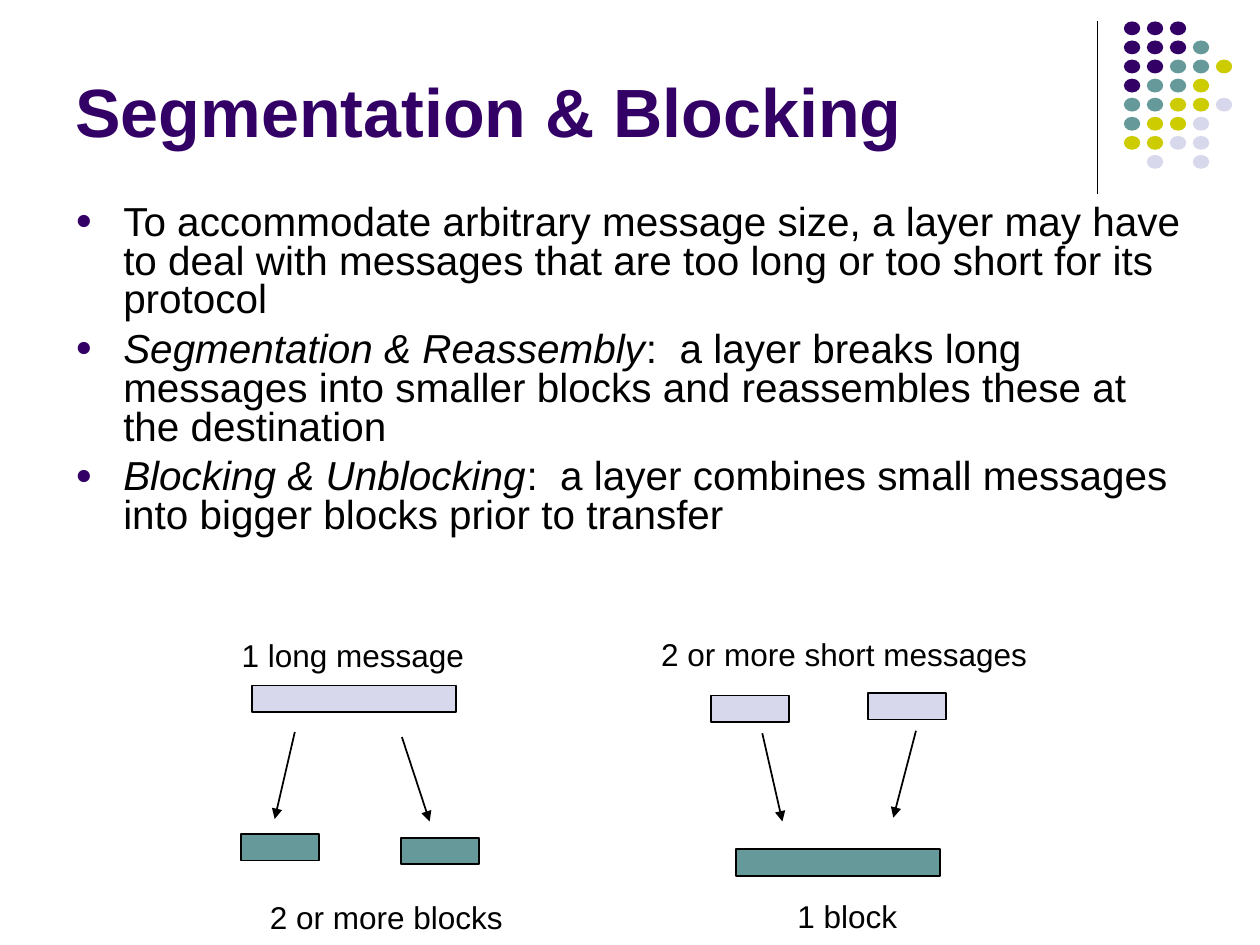
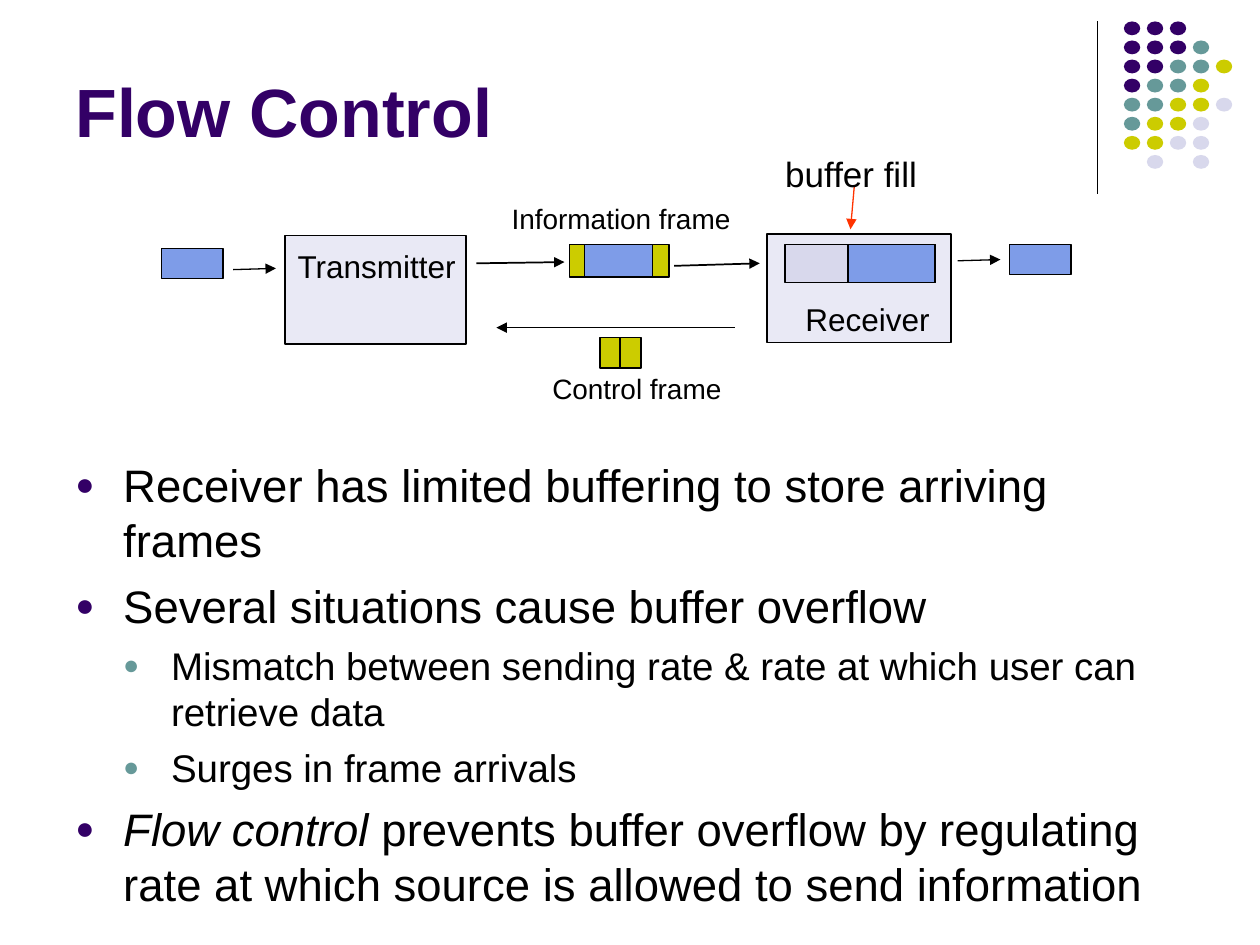
from lxml import etree
from pptx import Presentation
from pptx.dml.color import RGBColor
from pptx.enum.shapes import MSO_CONNECTOR, MSO_SHAPE
from pptx.enum.text import MSO_ANCHOR, MSO_AUTO_SIZE, PP_ALIGN
from pptx.oxml.ns import qn
from pptx.util import Inches, Pt

FONT = "Arial"
COLORS = {
    "purple": "330066",
    "teal": "669999",
    "olive": "CCCC00",
    "lavender": "D8D8EC",
    "pale": "E9E9F5",
    "blue": "7E9CE8",
    "red": "FF3300",
    "black": "000000",
}

# Dot ornament: one letter per dot, a space where there is none
DOT_ROWS = ["PPP", "PPPT", "PPTTY", "PTTY", "TTYYL", "TYYL", "YYLL", " L L"]
DOT_COLORS = {"P": "purple", "T": "teal", "Y": "olive", "L": "lavender"}
DOTS = [
    (MSO_SHAPE.OVAL, 8.92 + 0.73 * col / 4, 0.17 + 1.06 * row / 7, 0.13, 0.11,
     DOT_COLORS[letter], 0)
    for row, letters in enumerate(DOT_ROWS)
    for col, letter in enumerate(letters) if letter != " "
]

BULLET_INDENT = 0.38
BULLET_COLORS = ["purple", "teal"]

# bullets: level, italic lead, rest
# bars: left, top, width, height, fill, line width
# arrows: start, end, colour, line width
# labels: text, left, top, width, height, size
SLIDES = [
    {
        "title": "Segmentation & Blocking",
        "body": (0.5, 1.58, 9.05, 2.77),
        "sizes": [23.1],
        "space_before": [6.2],
        "line_spacing": 0.8,
        "bullets": [
            (0, "", "To accommodate arbitrary message size, a layer may have to deal "
                    "with messages that are too long or too short for its protocol"),
            (0, "Segmentation & Reassembly",
             ":  a layer breaks long messages into smaller blocks and reassembles "
             "these at the destination"),
            (0, "Blocking & Unblocking",
             ":  a layer combines small messages into bigger blocks prior to transfer"),
        ],
        "bars": [
            (2, 5.44, 1.62, 0.21, "lavender", 1),
            (1.91, 6.62, 0.62, 0.21, "teal", 1),
            (3.18, 6.65, 0.62, 0.21, "teal", 1),
            (5.64, 5.52, 0.62, 0.21, "lavender", 1),
            (6.89, 5.5, 0.62, 0.21, "lavender", 1),
            (5.84, 6.74, 1.62, 0.21, "teal", 1),
        ],
        "arrows": [
            ((2.34, 5.81), (2.18, 6.5), "black", 1),
            ((3.19, 5.85), (3.41, 6.52), "black", 1),
            ((6.05, 5.82), (6.21, 6.52), "black", 1),
            ((7.27, 5.8), (7.09, 6.49), "black", 1),
        ],
        "labels": [
            ("1 long message", 1.77, 5, 2.06, 0.4, 18),
            ("2 or more blocks", 1.99, 7.08, 2.15, 0.4, 18),
            ("2 or more short messages", 5.1, 4.99, 3.2, 0.4, 18),
            ("1 block", 6.18, 7.07, 1.09, 0.4, 18),
        ],
    },
    {
        "title": "Flow Control",
        "body": (0.5, 3.58, 9, 3.79),
        "sizes": [26, 22],
        "space_before": [6.5, 5.5],
        "line_spacing": 1.0,
        "bullets": [
            (0, "", "Receiver has limited buffering to store arriving frames"),
            (0, "", "Several situations cause buffer overflow"),
            (1, "", "Mismatch between sending rate & rate at which user can retrieve data"),
            (1, "", "Surges in frame arrivals"),
            (0, "Flow control", " prevents buffer overflow by regulating rate at which "
                                "source is allowed to send information"),
        ],
        "bars": [
            (4.52, 1.94, 0.79, 0.26, "olive", 1),
            (4.64, 1.94, 0.54, 0.26, "blue", 1),
            (2.26, 1.87, 1.44, 0.86, "pale", 1),
            (6.09, 1.86, 1.46, 0.86, "pale", 1),
            (4.76, 2.68, 0.17, 0.24, "olive", 1),
            (4.92, 2.68, 0.17, 0.24, "olive", 1),
            (6.23, 1.94, 1.19, 0.3, "lavender", 0.75),
            (6.73, 1.94, 0.69, 0.3, "blue", 0.75),
            (1.28, 1.97, 0.49, 0.24, "blue", 0.75),
            (8.01, 1.94, 0.49, 0.24, "blue", 0.75),
        ],
        "arrows": [
            ((3.78, 2.09), (4.48, 2.08), "black", 1),
            ((5.35, 2.11), (6.03, 2.09), "black", 1),
            ((5.83, 2.6), (3.94, 2.6), "black", 1),
            ((6.78, 1.48), (6.75, 1.82), "red", 0.75),
            ((1.85, 2.14), (2.19, 2.13), "black", 0.75),
            ((7.6, 2.07), (7.94, 2.06), "black", 0.75),
        ],
        "labels": [
            ("Information frame", 3.76, 1.55, 2.34, 0.36, 16),
            ("Control frame", 4, 2.9, 2.11, 0.36, 16),
            ("Transmitter", 2.21, 1.91, 1.56, 0.4, 18),
            ("Receiver", 6.24, 2.33, 1.29, 0.4, 18),
            ("buffer fill", 6.08, 1.16, 1.35, 0.44, 20),
        ],
    },
]


def rgb(name):
    return RGBColor.from_string(COLORS[name])


def add_line(page, start, end, color, width, arrow=True):
    line = page.shapes.add_connector(
        MSO_CONNECTOR.STRAIGHT, *(Inches(value) for value in start + end))
    line.line.color.rgb = rgb(color)
    line.line.width = Pt(width)
    if arrow:
        etree.SubElement(line.line._get_or_add_ln(), qn("a:tailEnd"), type="triangle")
    etree.SubElement(line._element.spPr, qn("a:effectLst"))


deck = Presentation()
deck.slide_width, deck.slide_height = Inches(10), Inches(7.5)

for content in SLIDES:
    page = deck.slides.add_slide(deck.slide_layouts[6])
    add_line(page, (8.71, 0.17), (8.71, 1.54), "black", 0.75, arrow=False)

    bars = [(MSO_SHAPE.RECTANGLE, *bar) for bar in content["bars"]]
    for kind, left, top, width, height, fill, line_width in DOTS + bars:
        shape = page.shapes.add_shape(
            kind, Inches(left), Inches(top), Inches(width), Inches(height))
        shape.shadow.inherit = False
        shape.fill.solid()
        shape.fill.fore_color.rgb = rgb(fill)
        if line_width:
            shape.line.color.rgb = rgb("black")
            shape.line.width = Pt(line_width)
        else:
            shape.line.fill.background()

    for arrow in content["arrows"]:
        add_line(page, *arrow)

    for text, left, top, width, height, size in content["labels"]:
        box = page.shapes.add_textbox(
            Inches(left), Inches(top), Inches(width), Inches(height))
        box.text_frame.word_wrap = False
        box.text_frame.auto_size = MSO_AUTO_SIZE.SHAPE_TO_FIT_TEXT
        para = box.text_frame.paragraphs[0]
        para.text = text
        para.alignment = PP_ALIGN.CENTER
        para.font.name = FONT
        para.font.size = Pt(size)
        para.font.color.rgb = rgb("black")

    title = page.shapes.add_textbox(Inches(0.5), Inches(0.13), Inches(8.25), Inches(1.12))
    title.text_frame.word_wrap = True
    title.text_frame.vertical_anchor = MSO_ANCHOR.BOTTOM
    para = title.text_frame.paragraphs[0]
    para.text = content["title"]
    para.font.name = FONT
    para.font.size = Pt(39)
    para.font.bold = True
    para.font.color.rgb = rgb("purple")

    body = page.shapes.add_textbox(*(Inches(value) for value in content["body"]))
    body.text_frame.word_wrap = True
    for index, (level, lead, rest) in enumerate(content["bullets"]):
        para = body.text_frame.add_paragraph() if index else body.text_frame.paragraphs[0]
        para.level = level
        para.line_spacing = content["line_spacing"]
        para.space_before = Pt(content["space_before"][level] if index else 0)
        properties = para._p.get_or_add_pPr()
        properties.set("marL", str(Inches(BULLET_INDENT * (level + 1))))
        properties.set("indent", str(-Inches(BULLET_INDENT)))
        bullet_color = etree.SubElement(properties, qn("a:buClr"))
        etree.SubElement(bullet_color, qn("a:srgbClr"), val=COLORS[BULLET_COLORS[level]])
        etree.SubElement(properties, qn("a:buSzPct"), val="70000")
        etree.SubElement(properties, qn("a:buFont"), typeface=FONT)
        etree.SubElement(properties, qn("a:buChar"), char="●")
        for text, italic in ((lead, True), (rest, False)):
            if text:
                span = para.add_run()
                span.text = text
                span.font.name = FONT
                span.font.size = Pt(content["sizes"][level])
                span.font.italic = italic
                span.font.color.rgb = rgb("black")

deck.save("out.pptx")
